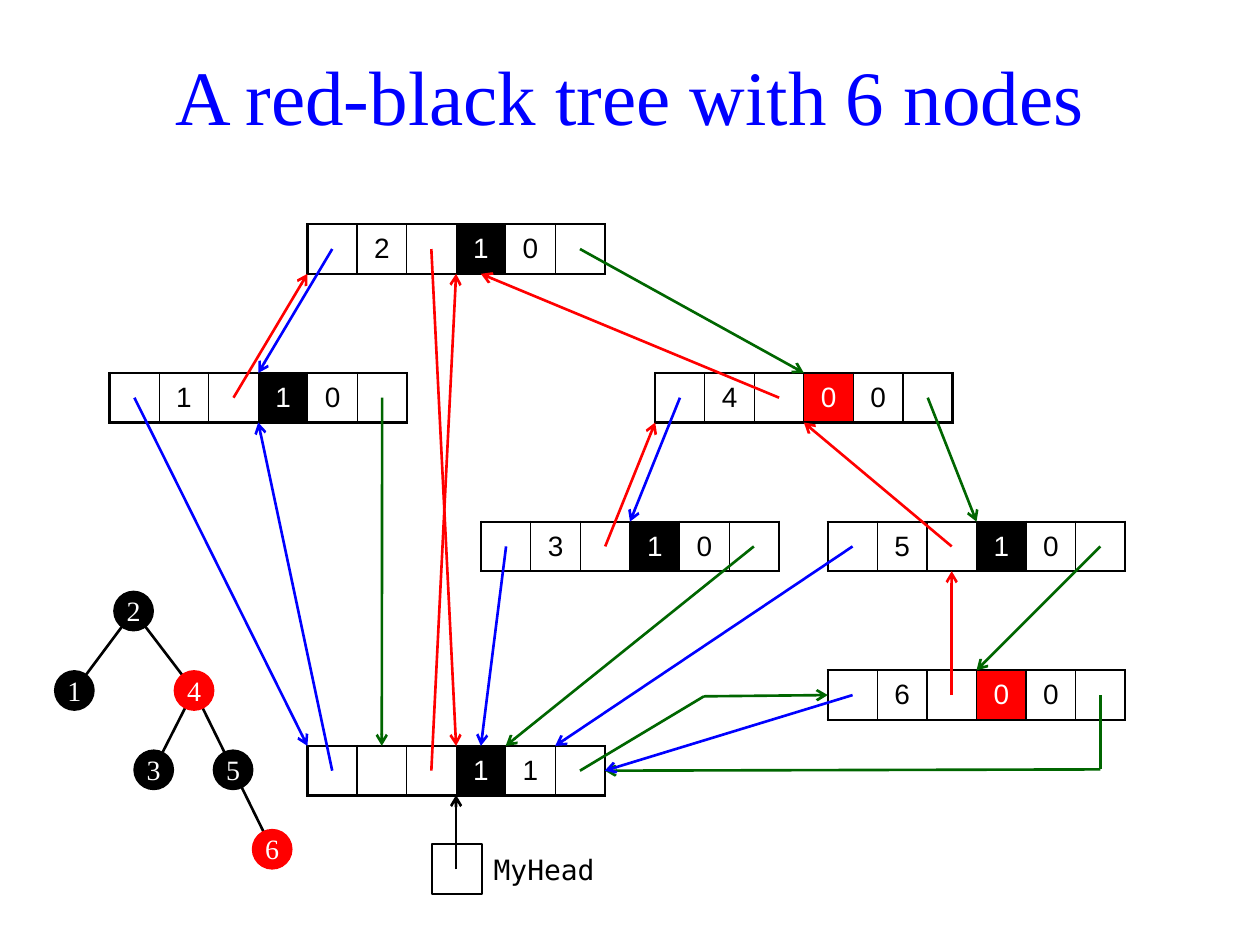
from lxml import etree
from pptx import Presentation
from pptx.dml.color import RGBColor
from pptx.enum.shapes import MSO_CONNECTOR, MSO_SHAPE
from pptx.enum.text import MSO_ANCHOR, PP_ALIGN
from pptx.oxml.ns import qn
from pptx.util import Inches, Pt

LINE = MSO_CONNECTOR.STRAIGHT
RECT, OVAL = MSO_SHAPE.RECTANGLE, MSO_SHAPE.OVAL
MIDDLE = MSO_ANCHOR.MIDDLE
CENTER, LEFT = PP_ALIGN.CENTER, PP_ALIGN.LEFT

HEX = {"black": "000000", "white": "FFFFFF", "red": "FF0000",
       "blue": "0000FF", "green": "006600"}
RGB = {name: RGBColor.from_string(code) for name, code in HEX.items()}

COLS = 6
WIDTH = 2.36
CELL = WIDTH / COLS
DOT = 0.31

prs = Presentation()
prs.slide_width, prs.slide_height = Inches(10), Inches(7.5)
slide = prs.slides.add_slide(prs.slide_layouts[6])
shapes = slide.shapes


def write(frame, text, size, font, color, align=CENTER):
    frame.vertical_anchor = MIDDLE
    para = frame.paragraphs[0]
    para.alignment = align
    run = para.add_run()
    run.text = text
    run.font.size = Pt(size)
    run.font.name = font
    run.font.color.rgb = RGB[color]
    return para


def join(start, end, color, arrow=True):
    line = shapes.add_connector(LINE, *(Inches(v) for v in (*start, *end)))
    line.line.color.rgb = RGB[color]
    line.line.width = Pt(1.5)
    if arrow:
        etree.SubElement(line.line._get_or_add_ln(), qn("a:tailEnd"),
                         type="arrow", w="med", len="med")
    etree.SubElement(line._element.spPr, qn("a:effectLst"))


# Title
box = shapes.add_textbox(Inches(0.47), Inches(0.21), Inches(9.06), Inches(1.18))
box.text_frame.word_wrap = True
title = write(box.text_frame, "A red-black tree with 6 nodes", 44,
              "Times New Roman", "blue")
title.line_spacing = 0.9

# Node records: left, top, key, color bit, head bit
nodes = {
    "2": (2.44, 1.78, "2", "1", "0"),
    "1": (0.87, 2.96, "1", "1", "0"),
    "4": (5.2, 2.96, "4", "0", "0"),
    "3": (3.82, 4.14, "3", "1", "0"),
    "5": (6.57, 4.14, "5", "1", "0"),
    "6": (6.57, 5.32, "6", "0", "0"),
    "head": (2.44, 5.92, "", "1", "1"),
}
for left, top, key, bit, flag in nodes.values():
    table = shapes.add_table(1, COLS, Inches(left), Inches(top),
                             Inches(WIDTH), Inches(CELL)).table
    table.first_row = table.horz_banding = False
    for col, text in enumerate(("", key, "", bit, flag, "")):
        table.columns[col].width = Inches(CELL)
        cell = table.cell(0, col)
        cell.margin_left = cell.margin_right = 0
        cell.margin_top = cell.margin_bottom = 0
        cell.vertical_anchor = MIDDLE
        # Thick outer border, thin inner dividers
        sides = {"lnL": 1.5 if col == 0 else 0.75,
                 "lnR": 1.5 if col == COLS - 1 else 0.75,
                 "lnT": 1.5, "lnB": 1.5}
        props = cell._tc.get_or_add_tcPr()
        for side, width in sides.items():
            edge = etree.SubElement(props, qn("a:" + side), w=str(Pt(width)))
            fill = etree.SubElement(edge, qn("a:solidFill"))
            etree.SubElement(fill, qn("a:srgbClr"), val=HEX["black"])
        if col == 3:
            cell.fill.solid()
            cell.fill.fore_color.rgb = RGB["black" if bit == "1" else "red"]
        else:
            cell.fill.background()
        if text:
            write(cell.text_frame, text, 16, "Arial",
                  "white" if col == 3 else "black")

# Pointers: each end is a node with an offset in cells
links = [
    # Left child
    ("2", 0.5, 0.5, "1", 3, 0, "blue"),
    ("4", 0.5, 0.5, "3", 3, 0, "blue"),
    ("1", 0.5, 0.5, "head", 0, 0, "blue"),
    ("3", 0.5, 0.5, "head", 3.5, 0, "blue"),
    ("5", 0.5, 0.5, "head", 5, 0, "blue"),
    ("head", 0.5, 0.5, "1", 3, 1, "blue"),
    # Parent
    ("1", 2.5, 0.5, "2", 0, 1, "red"),
    ("4", 2.5, 0.5, "2", 3.5, 1, "red"),
    ("3", 2.5, 0.5, "4", 0, 1, "red"),
    ("5", 2.5, 0.5, "4", 3, 1, "red"),
    ("6", 2.5, 0.5, "5", 2.5, 1, "red"),
    ("2", 2.5, 0.5, "head", 3, 0, "red"),
    ("head", 2.5, 0.5, "2", 3, 1, "red"),
    # Right child
    ("2", 5.5, 0.5, "4", 3, 0, "green"),
    ("4", 5.5, 0.5, "5", 3, 0, "green"),
    ("5", 5.5, 0.5, "6", 3, 0, "green"),
    ("1", 5.5, 0.5, "head", 1.5, 0, "green"),
    ("3", 5.5, 0.5, "head", 4, 0, "green"),
    # Bent pointers, then the left pointer that ends on top of one
    ("6", 5.5, 0.5, "6", 5.5, 2, "green", False),
    ("6", 5.5, 2, "head", 6, 0.5, "green"),
    ("head", 5.5, 0.5, "head", 8, -1, "green", False),
    ("head", 8, -1, "6", 0, 0.5, "green"),
    ("6", 0.5, 0.5, "head", 6, 0.5, "blue"),
]
for src, sx, sy, dst, dx, dy, *style in links:
    start = nodes[src][0] + sx * CELL, nodes[src][1] + sy * CELL
    end = nodes[dst][0] + dx * CELL, nodes[dst][1] + dy * CELL
    join(start, end, *style)

# Head pointer
head = shapes.add_shape(RECT, Inches(3.43), Inches(6.7), Inches(CELL), Inches(CELL))
head.shadow.inherit = False
head.fill.solid()
head.fill.fore_color.rgb = RGB["white"]
head.line.color.rgb = RGB["black"]
head.line.width = Pt(1)
label = shapes.add_textbox(Inches(3.82), Inches(6.7), Inches(1.18), Inches(CELL))
label.text_frame.word_wrap = True
write(label.text_frame, "MyHead", 16, "DejaVu Sans Mono", "black", LEFT)
join((3.62, 6.9), (3.62, 6.31), "black")

# Small tree: center and color of each dot, edges first
dots = {
    "2": (1.06, 4.85, "black"),
    "1": (0.59, 5.48, "black"),
    "4": (1.54, 5.48, "red"),
    "3": (1.22, 6.11, "black"),
    "5": (1.85, 6.11, "black"),
    "6": (2.16, 6.74, "red"),
}
for top, low in ("21", "24", "43", "45", "56"):
    join(dots[top][:2], dots[low][:2], "black", False)
for key, (x, y, color) in dots.items():
    dot = shapes.add_shape(OVAL, Inches(x - DOT / 2), Inches(y - DOT / 2),
                           Inches(DOT), Inches(DOT))
    dot.shadow.inherit = False
    dot.fill.solid()
    dot.fill.fore_color.rgb = RGB[color]
    dot.line.color.rgb = RGB[color]
    dot.line.width = Pt(1)
    frame = dot.text_frame
    frame.margin_left = frame.margin_right = frame.margin_top = 0
    frame.margin_bottom = Inches(0.01)
    write(frame, key, 16, "Times New Roman", "white")

prs.save("out.pptx")
